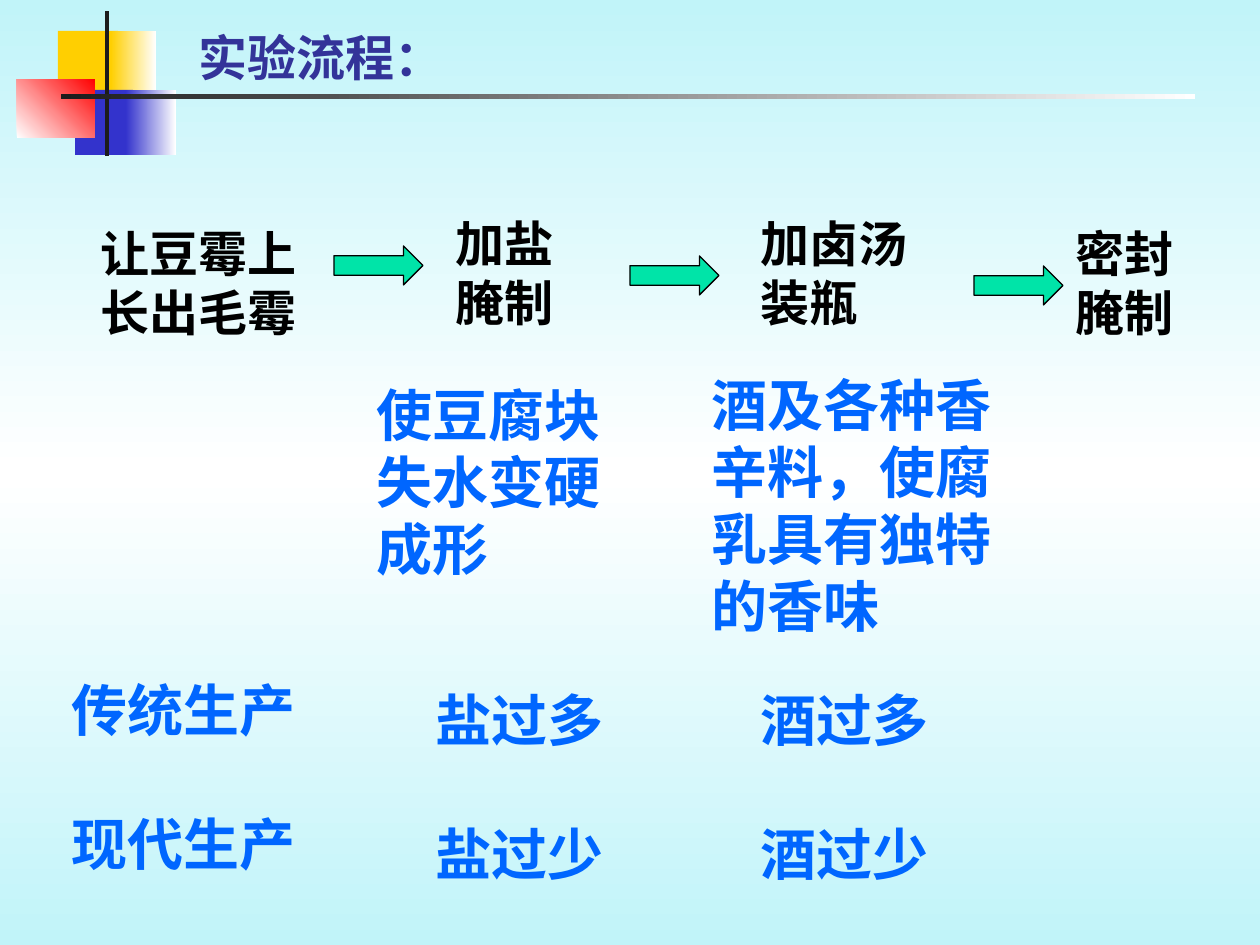
from copy import deepcopy

from pptx import Presentation
from pptx.dml.color import RGBColor
from pptx.enum.shapes import MSO_SHAPE as Shape
from pptx.enum.text import MSO_ANCHOR as Anchor, MSO_AUTO_SIZE as AutoSize
from pptx.util import Emu, Pt

FONT = "Roboto"
WHITE = RGBColor(0xFF, 0xFF, 0xFF)
BLACK = RGBColor(0x00, 0x00, 0x00)
CHARCOAL = RGBColor(0x1C, 0x1C, 0x1C)
YELLOW = RGBColor(0xFF, 0xCF, 0x01)
INDIGO = RGBColor(0x33, 0x33, 0xCC)
RED = RGBColor(0xFF, 0x00, 0x00)
NAVY = RGBColor(0x33, 0x33, 0x99)
BLUE = RGBColor(0x00, 0x66, 0xFF)
GREEN = RGBColor(0x00, 0xE4, 0xA8)
PALE_CYAN = RGBColor(0xC1, 0xF4, 0xF9)

# Lengths are px at 126 to the inch: left, top, width, height
TITLE = ("实验流程：", (186, 21, 896, 72))
STEPS = [
    ("让豆霉上长出毛霉", (88, 217, 261, 131)),
    ("加盐腌制", (443, 207, 153, 131)),
    ("加卤汤装瓶", (748, 207, 174, 131)),
    ("密封腌制", (1063, 217, 157, 131)),
]
NOTES = [
    (["使豆腐块失水变硬成形"], (364, 374, 256, 214)),
    (["酒及各种香辛料，使腐乳具有独特的香味"], (699, 364, 325, 282)),
    (["传统生产", "现代生产"], (59, 669, 305, 214)),
    (["盐过多", "盐过少"], (423, 679, 236, 214)),
    (["酒过多", "酒过少"], (748, 679, 237, 214)),
]
ARROWS = [(334, 246), (630, 256), (974, 266)]
ARROW_SIZE = (89, 39)
# Box, colours from start to end, gradient angle
ORNAMENTS = [
    ((58, 31, 60, 66), [YELLOW], 0),
    ((111, 31, 45, 66), [YELLOW, WHITE], 0),
    ((75, 90, 58, 65), [INDIGO], 0),
    ((126, 90, 50, 65), [INDIGO, WHITE], 0),
    ((17, 79, 78, 59), [WHITE, RED], 45),
    ((105, 11, 4, 145), [CHARCOAL], 0),
    ((61, 94, 1134, 5), [CHARCOAL, WHITE], 0),
]
ROW_GAP = Pt(38.4)


def px(*lengths):
    return [Emu(round(length * 914400 / 126)) for length in lengths]


def paint(fill, colours, angle):
    if len(colours) == 1:
        fill.solid()
        fill.fore_color.rgb = colours[0]
        return
    fill.gradient()
    fill.gradient_angle = angle
    for stop, colour in zip(fill.gradient_stops, colours):
        stop.color.rgb = colour


def paint_background(slide):
    """Fade from pale cyan to white and back, top to bottom."""
    fill = slide.background.fill
    paint(fill, [PALE_CYAN, WHITE], 270)
    fill.gradient_stops[1].position = 0.5
    stop_list = slide.element.xpath(".//p:bg//a:gsLst")[0]
    stop_list.append(deepcopy(stop_list[0]))
    fill.gradient_stops[2].position = 1


def add_shape(slide, kind, box, colours, angle=0):
    shape = slide.shapes.add_shape(kind, *px(*box))
    shape.shadow.inherit = False
    paint(shape.fill, colours, angle)
    shape.line.fill.background()
    return shape


def add_text(slide, lines, box, size, colour, anchor=Anchor.TOP,
             auto_size=AutoSize.SHAPE_TO_FIT_TEXT):
    frame = slide.shapes.add_textbox(*px(*box)).text_frame
    frame.word_wrap = True
    frame.auto_size = auto_size
    frame.vertical_anchor = anchor
    frame.text = "\n".join(lines)
    for index, para in enumerate(frame.paragraphs):
        para.space_before = ROW_GAP if index else Pt(0)
        para.font.name = FONT
        para.font.size = Pt(size)
        para.font.bold = True
        para.font.color.rgb = colour


def main():
    deck = Presentation()
    deck.slide_width, deck.slide_height = px(1260, 945)
    slide = deck.slides.add_slide(deck.slide_layouts[6])
    paint_background(slide)
    for box, colours, angle in ORNAMENTS:
        add_shape(slide, Shape.RECTANGLE, box, colours, angle)

    title, title_box = TITLE
    add_text(slide, [title], title_box, 28, NAVY, Anchor.BOTTOM, AutoSize.NONE)
    for step, box in STEPS:
        add_text(slide, [step], box, 28, BLACK)
    for corner in ARROWS:
        arrow = add_shape(slide, Shape.RIGHT_ARROW, corner + ARROW_SIZE, [GREEN])
        arrow.line.color.rgb = BLACK
        arrow.line.width = Pt(0.75)
    for lines, box in NOTES:
        add_text(slide, lines, box, 32, BLUE)
    deck.save("out.pptx")


if __name__ == "__main__":
    main()
